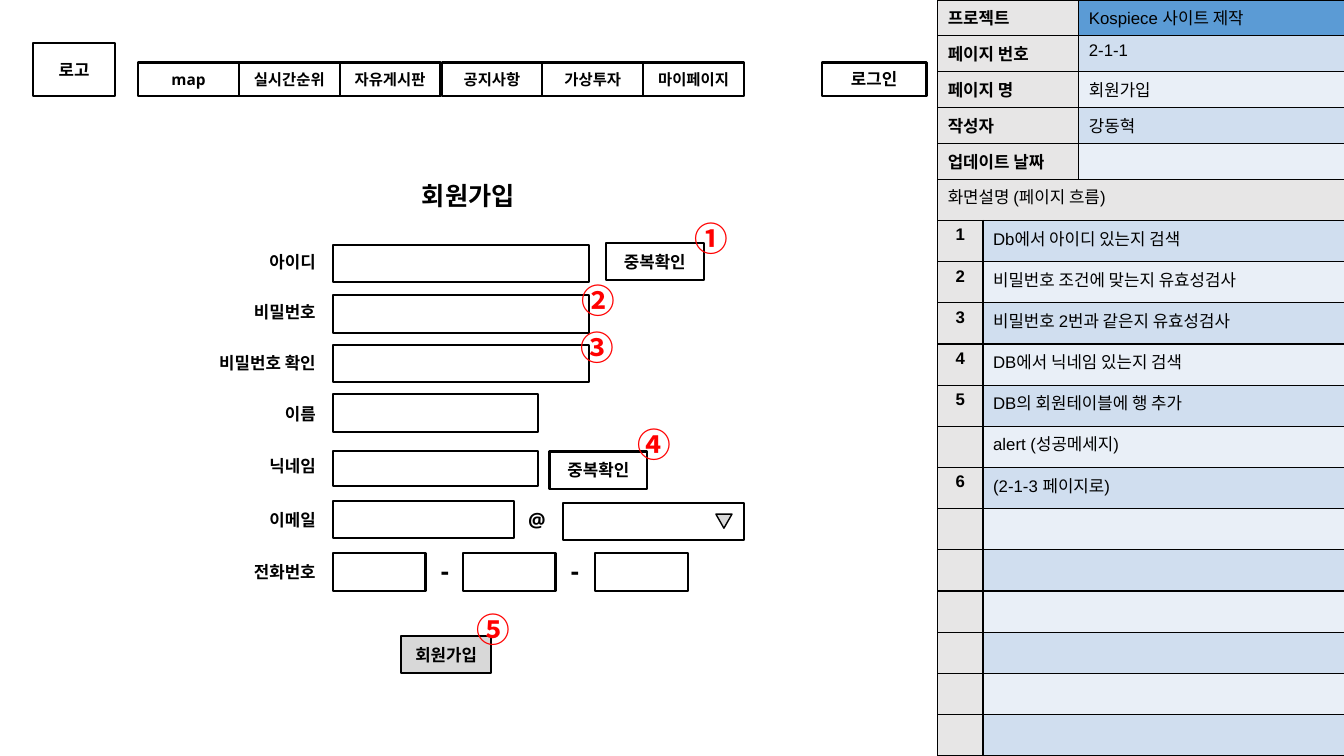
"""Build the sign-up page wireframe with its description panel."""
import pptx
import pptx.dml.color
import pptx.enum.shapes
import pptx.enum.text
import pptx.oxml
import pptx.oxml.ns
import pptx.util

PX = 9144
ALIGN = pptx.enum.text.PP_ALIGN
PRESET = pptx.enum.shapes.MSO_SHAPE
THEME = {
    "ink": "000000", "marker": "FF0000", "button": "D8D8D8",
    "heading": "E7E6E6", "project": "5B9BD5", "bands": ("D0DEEF", "E9EFF7"),
    "panel_font": "Arial", "page_font": "Open Sans", "asian_font": "Noto Sans CJK KR",
    "nav": 11, "body": 12, "at": 14, "title": 18, "marker_size": 24,
}


def color(name):
    return pptx.dml.color.RGBColor.from_string(THEME.get(name, name))


def write(frame, text, size="body", face="page_font", ink="ink", bold=True,
          align=ALIGN.CENTER, middle=True, inset=10):
    frame_format = {
        "word_wrap": True,
        "vertical_anchor": pptx.enum.text.MSO_ANCHOR.MIDDLE if middle else pptx.enum.text.MSO_ANCHOR.TOP,
        "margin_left": 10 * PX, "margin_right": 10 * PX,
        "margin_top": inset * PX, "margin_bottom": inset * PX,
    }
    for key, value in frame_format.items():
        setattr(frame, key, value)
    line = frame.paragraphs[0]
    line.alignment = align
    run = line.add_run()
    run.text = text
    run_format = {"size": pptx.util.Pt(THEME[size]), "name": THEME[face], "bold": bold}
    for key, value in run_format.items():
        setattr(run.font, key, value)
    run.font.color.rgb = color(ink)
    asian = pptx.oxml.parse_xml(
        f'<a:ea {pptx.oxml.ns.nsdecls("a")} typeface="{THEME["asian_font"]}"/>')
    run.font._element.find(pptx.oxml.ns.qn("a:latin")).addnext(asian)


deck = pptx.Presentation()
deck.slide_width, deck.slide_height = 1333 * PX, 750 * PX
slide = deck.slides.add_slide(deck.slide_layouts[6])

project_rows = [
    ("프로젝트", "Kospiece 사이트 제작"), ("페이지 번호", "2-1-1"),
    ("페이지 명", "회원가입"), ("작성자", "강동혁"), ("업데이트 날짜", ""),
]
flow_rows = [
    ("화면설명 (페이지 흐름)", ""),
    ("1", "Db에서 아이디 있는지 검색"), ("2", "비밀번호 조건에 맞는지 유효성검사"),
    ("3", "비밀번호 2번과 같은지 유효성검사"), ("4", "DB에서 닉네임 있는지 검색"),
    ("5", "DB의 회원테이블에 행 추가"), ("", "alert (성공메세지)"),
    ("6", "(2-1-3 페이지로)"),
] + [("", "")] * 6

for rows, top, height, key_width, key_align in (
        (project_rows, 0, 178, 140, ALIGN.LEFT),
        (flow_rows, 178, 572, 45, ALIGN.CENTER)):
    panel = slide.shapes.add_table(
        len(rows), 2, 930 * PX, top * PX, 404 * PX, height * PX).table
    for key in ("first_row", "horz_banding"):
        setattr(panel, key, False)
    panel.columns[0].width = key_width * PX
    panel.columns[1].width = (404 - key_width) * PX
    for index, row in enumerate(rows):
        panel.rows[index].height = height * PX // len(rows)
        is_flow_heading = rows is flow_rows and index == 0
        for column, text in enumerate(row):
            cell = panel.cell(index, column)
            is_key = column == 0
            fill = "heading" if is_key else THEME["bands"][(index + 1) % 2]
            if index == 0 and not is_key:
                fill = "project" if rows is project_rows else "heading"
            cell.fill.solid()
            cell.fill.fore_color.rgb = color(fill)
            if text:
                write(cell.text_frame, text, face="panel_font", middle=False, inset=5,
                      bold=is_key and not is_flow_heading,
                      align=key_align if is_key and not is_flow_heading else ALIGN.LEFT)
            else:
                cell.text_frame.paragraphs[0]._p.append(pptx.oxml.parse_xml(
                    f'<a:endParaRPr {pptx.oxml.ns.nsdecls("a")} sz="{THEME["body"] * 100}"/>'))
            borders = cell._tc.get_or_add_tcPr()
            for place, side in enumerate(("lnL", "lnR", "lnT", "lnB")):
                borders.insert(place, pptx.oxml.parse_xml(
                    f'<a:{side} {pptx.oxml.ns.nsdecls("a")} w="12700"><a:solidFill>'
                    f'<a:srgbClr val="{THEME["ink"]}"/></a:solidFill></a:{side}>'))
        if is_flow_heading:
            panel.cell(0, 0).merge(panel.cell(0, 1))

fields = [
    (330, 243, 254, 37), (330, 293, 254, 37), (330, 342, 254, 37),
    (330, 391, 204, 38), (330, 447, 204, 35), (330, 497, 180, 37),
    (558, 499, 180, 37),
] + [(left, 549, 92, 37) for left in (330, 459, 590)]
buttons = [
    ("로고", 33, 43, 81, 52), ("로그인", 815, 62, 104, 33),
    ("중복확인", 601, 241, 97, 37), ("중복확인", 545, 448, 97, 37),
    ("회원가입", 398, 631, 89, 37),
]
menu = ["map", "실시간순위", "자유게시판", "공지사항", "가상투자", "마이페이지"]
boxes = [("", *field, "body") for field in fields]
boxes += [(*button, "body") for button in buttons]
boxes += [(name, 137 + round(100.2 * place), 62, 100, 33, "nav")
          for place, name in enumerate(menu)]

for text, left, top, width, height, size in boxes:
    box = slide.shapes.add_shape(
        PRESET.RECTANGLE, left * PX, top * PX, width * PX, height * PX)
    box.shadow.inherit = False
    box.fill.background()
    if text == "회원가입":
        box.fill.solid()
        box.fill.fore_color.rgb = color("button")
    box.line.color.rgb = color("ink")
    box.line.width = pptx.util.Pt(1.5)
    if text:
        write(box.text_frame, text, size)

dropdown = slide.shapes.add_shape(
    PRESET.ISOSCELES_TRIANGLE, 710 * PX, 510 * PX, 16 * PX, 14 * PX)
dropdown.rotation = 180
dropdown.shadow.inherit = False
dropdown.fill.solid()
dropdown.fill.fore_color.rgb = color("button")
dropdown.line.color.rgb = color("ink")
dropdown.line.width = pptx.util.Pt(1)

label_tops = {"아이디": 241, "비밀번호": 291, "비밀번호 확인": 341, "이름": 392,
              "닉네임": 444, "이메일": 497, "전화번호": 549}
right = {"align": ALIGN.RIGHT}
dash = {"size": "title", "align": ALIGN.RIGHT}
marker = {"size": "marker_size", "face": "asian_font", "ink": "marker",
          "align": ALIGN.LEFT, "middle": False, "inset": 5}
captions = [(text, 188, top, 135, 37, right) for text, top in label_tops.items()]
captions += [
    ("회원가입", 374, 175, 181, 37, {"size": "title"}),
    ("-", 413, 548, 42, 36, dash), ("-", 542, 548, 42, 36, dash),
    ("@", 509, 498, 42, 36, {"size": "at", "align": ALIGN.RIGHT}),
]
marker_spots = [(679, 211), (567, 273), (566, 319), (622, 416), (463, 599)]
captions += [(digit, left, top, 52, 50, marker)
             for digit, (left, top) in zip("①②③④⑤", marker_spots)]

for text, left, top, width, height, style in captions:
    caption = slide.shapes.add_textbox(left * PX, top * PX, width * PX, height * PX)
    write(caption.text_frame, text, **style)

deck.save("out.pptx")
